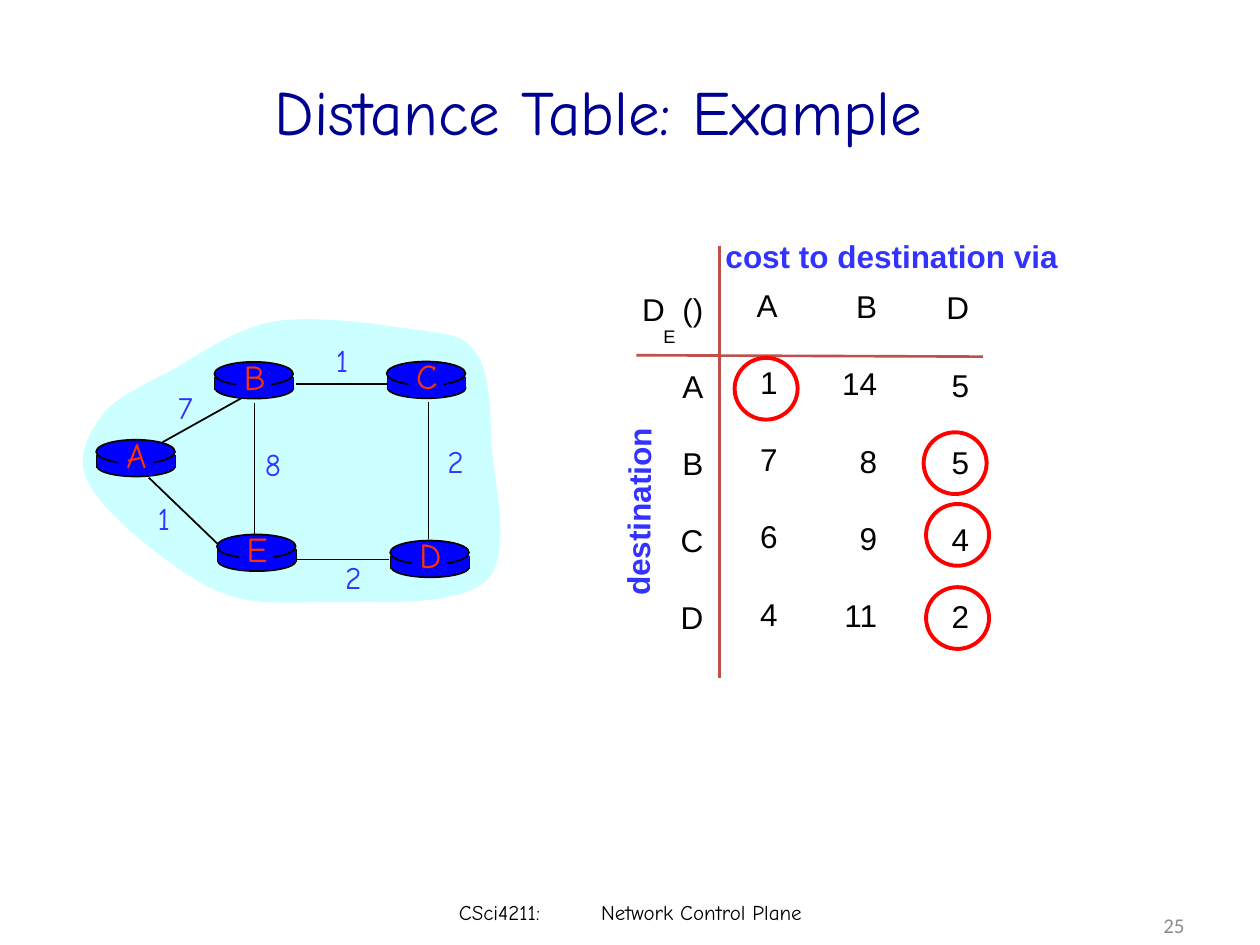
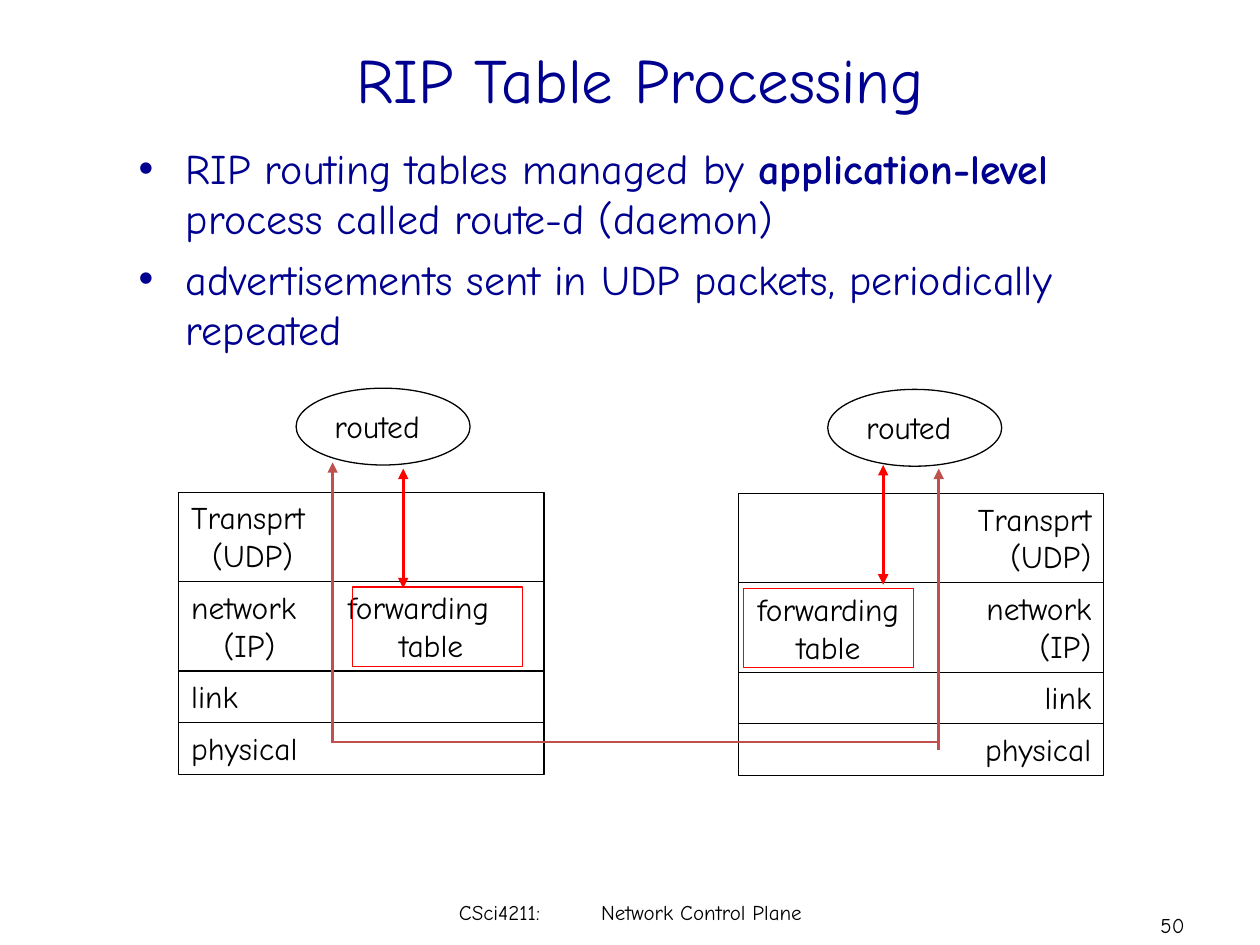
from lxml import etree
from pptx import Presentation
from pptx.dml.color import RGBColor
from pptx.enum.shapes import MSO_CONNECTOR, MSO_SHAPE
from pptx.enum.text import MSO_ANCHOR, MSO_AUTO_SIZE, PP_ALIGN
from pptx.oxml.ns import qn
from pptx.util import Pt

LEFT, CENTER, RIGHT = PP_ALIGN.LEFT, PP_ALIGN.CENTER, PP_ALIGN.RIGHT
TOP, MIDDLE = MSO_ANCHOR.TOP, MSO_ANCHOR.MIDDLE
RECTANGLE, OVAL = MSO_SHAPE.RECTANGLE, MSO_SHAPE.OVAL
STRAIGHT = MSO_CONNECTOR.STRAIGHT

NAVY = RGBColor(0x00, 0x00, 0x90)
BLACK = RGBColor(0x00, 0x00, 0x00)
GRAY = RGBColor(0x8C, 0x8C, 0x8C)
PALE_CYAN = RGBColor(0xCC, 0xFF, 0xFF)
ROUTER_BLUE = RGBColor(0x00, 0x00, 0xFF)
LABEL_BLUE = RGBColor(0x33, 0x33, 0xFF)
ORANGE = RGBColor(0xFF, 0x33, 0x00)
BRICK = RGBColor(0xC0, 0x50, 0x4D)
RED = RGBColor(0xFF, 0x00, 0x00)
COMIC, ARIAL, CALIBRI = "Comic Neue", "Arial", "Calibri"

# ---- Content: shared footer (text before the gap, gap, text after it)
FOOTER = ("CSci4211:", 31, " Network Control Plane")

# ---- Content: distance table slide
CLOUD_START = (57.6, 238.3)
CLOUD_CURVES = [  # two control points and an end point each
    ((64.8, 227.5), (81.4, 220.3), (97.9, 211.7)),
    ((114.5, 202.3), (133.9, 187.9), (157, 183.6)),
    ((180, 180), (215.3, 185), (234, 187.9)),
    ((253.4, 190.8), (264.2, 190.1), (271.4, 200.9)),
    ((279.4, 211), (280.1, 229.7), (280.8, 251.3)),
    ((281.5, 272.9), (293.8, 316.8), (277.9, 331.9)),
    ((261.4, 347.8), (209.5, 343.4), (182.9, 344.2)),
    ((157, 344.2), (141.1, 346.3), (119.5, 335.5)),
    ((97.9, 324.7), (62.6, 296), (52.6, 279.4)),
    ((41.8, 263.5), (49.7, 249.8), CLOUD_START),
]
ROUTERS = {"A": (55, 251.3), "B": (122.5, 206.8), "C": (221, 206.6),
           "E": (124, 305.4), "D": (223, 308.9)}
LINKS = [  # cost, label centre and top, line start, line end
    ("7", (106, 218.2), (92.9, 252.7), (141.8, 225.4)),
    ("8", (156, 250.6), (145.4, 230.4), (145.4, 308.2)),
    ("1", (93.6, 281.5), (85, 272.9), (124.6, 311)),
    ("2", (202, 315.4), (170, 319.7), (222.5, 319.7)),
    ("1", (195.5, 191.5), (169.2, 219.6), (221.8, 219.6)),
    ("2", (260.3, 249.1), (244.8, 229.7), (244.8, 308.2)),
]
TABLE_COLUMNS = [  # left, top, width, cells
    (347.8, 162, 61.2, [("D", 5, " ()"), "A", "B", "C", "D"]),
    (421.2, 159.8, 30.2, ["A", "1", "7", "6", "4"]),
    (467.3, 160.6, 41, ["B", "14", "8", "9", "11"]),
    (529.2, 161.3, 31.7, ["D", "5", "5", "4", "2"]),
]
TABLE_RULES = [((363.6, 203), (561.6, 203.8)), ((411.1, 140.4), (411.1, 387.4))]
BEST_COSTS = [(419.8, 204.5), (527.8, 247), (529.2, 288), (529.2, 335.5)]

# ---- Content: RIP slide
RIP_POINTS = [
    [("RIP routing tables managed by ", False), ("application-level", True),
     (" process called route-d (daemon)", False)],
    [("advertisements sent in UDP packets, periodically repeated", False)],
]
# Row height, then (text, tab stops) for each line
LEFT_LAYERS = [
    (51.1, [("Transprt", []), ("\t(UDP)", [12])]),
    (51.1, [("network\tforwarding", [89.5]), ("\t(IP)\ttable", [18.5, 119])]),
    (29.5, [("link", [])]),
    (29.5, [("physical", [])]),
]
RIGHT_LAYERS = [
    (51.1, [("Transprt", []), ("(UDP)", [])]),
    (51.1, [("network", []), ("(IP)", [])]),
    (29.5, [("link", [])]),
    (29.5, [("physical", [])]),
]
HOSTS = [
    dict(stack=(102.2, 281.3), align=LEFT, layers=LEFT_LAYERS,
         daemon=(169.2, 221.8), table=(201.6, 335.5), table_lines=[],
         update=((190.1, 424.8), (190.1, 264.2)),
         lookup=((230.4, 267.8), (230.4, 336.2))),
    dict(stack=(421.9, 281.9), align=RIGHT, layers=RIGHT_LAYERS,
         daemon=(473, 222.5), table=(424.8, 336.2),
         table_lines=["forwarding", "table"],
         update=((536.4, 428.4), (536.4, 267.8)),
         lookup=((504.7, 265.7), (504.7, 334.1))),
]
WIRE = ((190.1, 424.1), (537.1, 424.1))


# ---- Drawing helpers
def points(*values):
    return [Pt(value) for value in values]


def style(para, size, font, color, align=LEFT, bold=None):
    para.alignment = align
    para.font.size, para.font.name = Pt(size), font
    para.font.color.rgb, para.font.bold = color, bold


def fill_lines(frame, lines, size, font, color, align=LEFT, bold=None):
    """Write each line as a paragraph; a tuple holds text, gap, text."""
    for number, line in enumerate(lines):
        para = frame.add_paragraph() if number else frame.paragraphs[0]
        if isinstance(line, tuple):
            head, gap, tail = line
            if head[:-1]:
                para.add_run().text = head[:-1]
            span = para.add_run()
            span.text = head[-1]
            span._r.get_or_add_rPr().set("spc", str(gap * 100))
            para.add_run().text = tail
        else:
            para.add_run().text = line
        style(para, size, font, color, align, bold)


def add_text(page, at, lines, size, font, color, align=LEFT, bold=None,
             wrap=True, anchor=TOP):
    box = page.shapes.add_textbox(*points(*at))
    frame = box.text_frame
    frame.word_wrap, frame.vertical_anchor = wrap, anchor
    fill_lines(frame, lines, size, font, color, align, bold)
    return box


def paint(shape, fill=None, line=None, width=1):
    shape.shadow.inherit = False
    if fill is None:
        shape.fill.background()
    else:
        shape.fill.solid()
        shape.fill.fore_color.rgb = fill
    if line is None:
        shape.line.fill.background()
    else:
        shape.line.color.rgb = line
        shape.line.width = Pt(width)


def add_shape(page, kind, at, fill=None, line=None, width=1):
    shape = page.shapes.add_shape(kind, *points(*at))
    paint(shape, fill, line, width)
    return shape


def add_line(page, start, end, color=BLACK, width=1, arrows=()):
    line = page.shapes.add_connector(STRAIGHT, *points(*start, *end))
    line.line.color.rgb, line.line.width = color, Pt(width)
    stroke = line.line._get_or_add_ln()
    for arrow in arrows:
        etree.SubElement(stroke, qn("a:" + arrow), type="triangle")
    etree.SubElement(line._element.spPr, qn("a:effectLst"))


def set_tabs(para, stops):
    tabs = etree.Element(qn("a:tabLst"))
    for stop in stops:
        etree.SubElement(tabs, qn("a:tab"), pos=str(Pt(stop)), algn="l")
    props = para._p.get_or_add_pPr()
    props.insert_element_before(tabs, "a:defRPr", "a:extLst")


def place(placeholder, at):
    placeholder.left, placeholder.top, placeholder.width, placeholder.height = points(*at)
    placeholder.text_frame.auto_size = MSO_AUTO_SIZE.NONE


def add_page(deck, layout, title, title_at, number, number_font, number_color):
    page = deck.slides.add_slide(deck.slide_layouts[layout])
    place(page.shapes.title, title_at)
    fill_lines(page.shapes.title.text_frame, [title], 36, COMIC, NAVY, CENTER)
    add_text(page, (516.2, 514, 167.8, 28.8), [number], 12, number_font,
             number_color, RIGHT, anchor=MIDDLE)
    footer = add_text(page, (246.2, 514, 228.2, 28.8), [FOOTER], 12, COMIC, BLACK, CENTER)
    footer.text_frame.margin_top = 0
    return page


# ---- Distance table slide
def add_cloud(page, steps=12):
    outline, start = [], CLOUD_START
    for first, second, end in CLOUD_CURVES:
        for step in range(1, steps + 1):
            t = step / steps
            u = 1 - t
            outline.append(points(*(
                u**3 * a + 3 * u * u * t * b + 3 * u * t * t * c + t**3 * d
                for a, b, c, d in zip(start, first, second, end))))
        start = end
    builder = page.shapes.build_freeform(*points(*CLOUD_START))
    builder.add_line_segments(outline, close=True)
    paint(builder.convert_to_shape(), PALE_CYAN)


def add_router(page, name, x, y):
    add_shape(page, OVAL, (x + 0.5, y + 9.2, 44.6, 11.8), ROUTER_BLUE, BLACK)
    for side in (x + 0.5, x + 45):
        add_line(page, (side, y + 8.6), (side, y + 16))
    add_shape(page, RECTANGLE, (x + 0.5, y + 8.6, 44.6, 7.2), ROUTER_BLUE)
    add_shape(page, OVAL, (x, y, 45, 13.7), ROUTER_BLUE, BLACK)
    add_shape(page, RECTANGLE, (x + 12.5, y + 1.4, 20, 19), ROUTER_BLUE)
    add_text(page, (x + 8.5, y - 7.3, 29, 31), [name], 20, COMIC, ORANGE, CENTER)


def build_distance_page(deck):
    page = add_page(deck, 5, "Distance Table: Example", (36, 18, 612, 90),
                    "25", CALIBRI, GRAY)
    # Network
    add_cloud(page)
    for cost, (center, top), start, end in LINKS:
        add_line(page, start, end)
        add_text(page, (center - 12.5, top, 25, 28.8), [cost], 18, COMIC,
                 LABEL_BLUE, CENTER)
    for name, (x, y) in ROUTERS.items():
        add_router(page, name, x, y)
    # Distance table
    for left, top, width, cells in TABLE_COLUMNS:
        column = add_text(page, (left, top, width, 265.7), cells, 18, ARIAL, BLACK, RIGHT)
        for para in column.text_frame.paragraphs:
            para.space_after = Pt(22.5)
    for start, end in TABLE_RULES:
        add_line(page, start, end, BRICK, 1.5)
    for left, top in BEST_COSTS:
        add_shape(page, OVAL, (left, top, 36, 35.3), None, RED, 2.25)
    # Table captions
    source = add_text(page, (370.8, 170, 22.3, 21.6), ["E"], 18, ARIAL, BLACK,
                      RIGHT, wrap=False)
    span = source.text_frame.paragraphs[0].runs[0]
    span._r.get_or_add_rPr().set("baseline", "-25000")
    add_text(page, (407.5, 131.8, 204.5, 28.8), ["cost to destination via"], 18,
             ARIAL, LABEL_BLUE, bold=True, wrap=False)
    side = add_text(page, (309.6, 278, 110.2, 28.8), ["destination"], 18,
                    ARIAL, LABEL_BLUE, RIGHT, bold=True, wrap=False)
    side.rotation = 270.6


# ---- RIP slide
def add_host(page, host):
    x, y = host["stack"]
    for height, lines in host["layers"]:
        layer = add_shape(page, RECTANGLE, (x, y, 208.8, height), None, BLACK, 0.75)
        frame = layer.text_frame
        frame.vertical_anchor = TOP
        fill_lines(frame, [text for text, _ in lines], 18, COMIC, BLACK, host["align"])
        for para, (_, stops) in zip(frame.paragraphs, lines):
            if stops:
                set_tabs(para, stops)
        y += height
    table = add_shape(page, RECTANGLE, (*host["table"], 97.2, 45.4), None, RED, 0.75)
    table.text_frame.word_wrap = False
    fill_lines(table.text_frame, host["table_lines"], 18, COMIC, BLACK, CENTER)
    x, y = host["daemon"]
    add_shape(page, OVAL, (x, y, 99.4, 43.9), None, BLACK, 0.75)
    add_text(page, (x + 14.8, y + 7.2, 71.3, 28.8), ["routed"], 18, COMIC, BLACK, wrap=False)
    add_line(page, *host["update"], BRICK, 1.5, ["tailEnd"])
    add_line(page, *host["lookup"], RED, 1.5, ["headEnd", "tailEnd"])


def build_rip_page(deck):
    page = add_page(deck, 1, "RIP Table Processing", (59.8, 0, 612, 90),
                    "50", COMIC, BLACK)
    body = page.placeholders[1]
    place(body, (72, 77.8, 612, 347.8))
    for number, spans in enumerate(RIP_POINTS):
        frame = body.text_frame
        para = frame.add_paragraph() if number else frame.paragraphs[0]
        for text, bold in spans:
            span = para.add_run()
            span.text, span.font.bold = text, bold
        style(para, 24, COMIC, NAVY)
        para.space_before = Pt(5.6)
    for host in HOSTS:
        add_host(page, host)
    add_line(page, *WIRE, BRICK, 1.5)


def main():
    deck = Presentation()
    deck.slide_width, deck.slide_height = Pt(720), Pt(540)
    build_distance_page(deck)
    build_rip_page(deck)
    deck.save("out.pptx")


if __name__ == "__main__":
    main()
